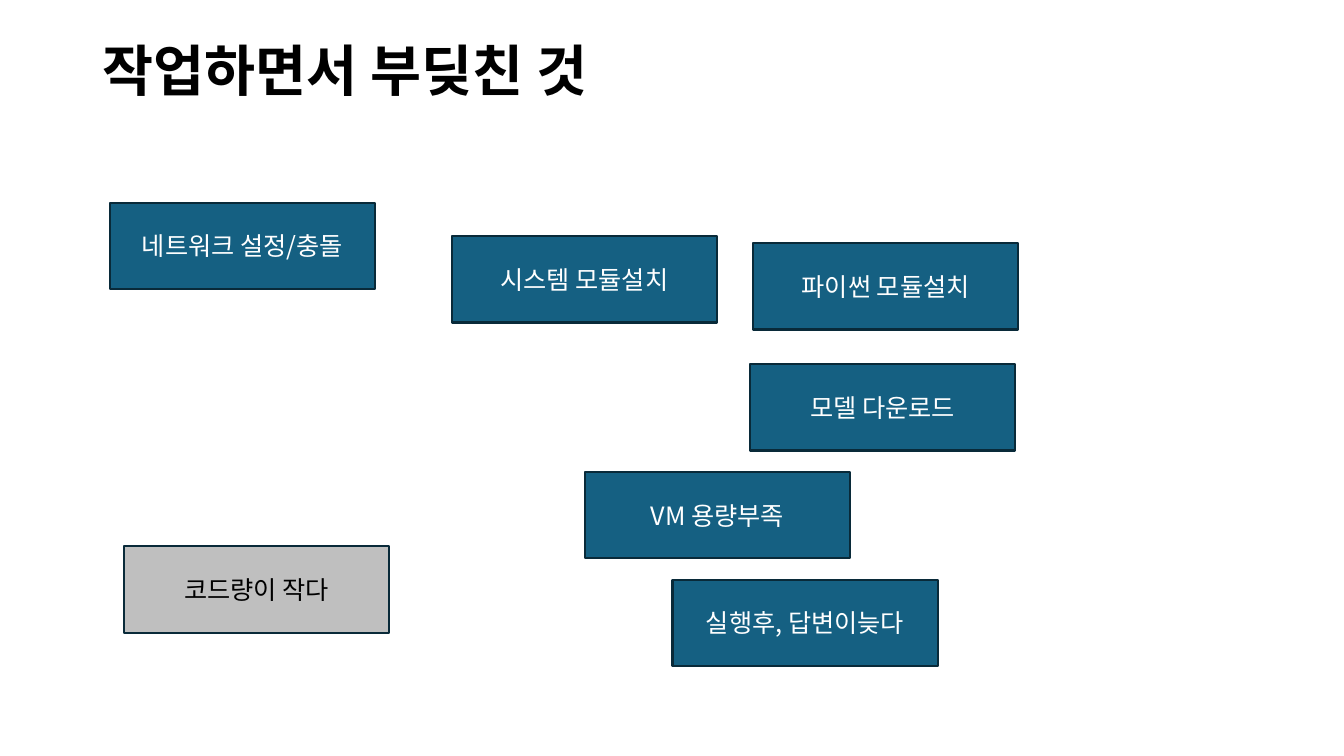
from pptx import Presentation
from pptx import util as u
from pptx.dml.color import RGBColor
from pptx.enum import shapes, text
from pptx.oxml.ns import qn
from lxml import etree

PX = 9144  # 100 px to the inch
FONT = "Noto Sans CJK KR"
COLORS = {"blue": "156082", "edge": "092A39", "gray": "BFBFBF",
          "white": "FFFFFF", "black": "000000"}
BOX_W, BOX_H = 263, 86
# left, top, label, fill, text colour
ISSUES = [
    (448, 234, "시스템 모듈설치", "blue", "white"),
    (747, 241, "파이썬 모듈설치", "blue", "white"),
    (744, 361, "모델 다운로드", "blue", "white"),
    (667, 575, "실행후, 답변이늦다", "blue", "white"),
    (109, 201, "네트워크 설정/충돌", "blue", "white"),
    (580, 468, "VM 용량부족", "blue", "white"),
    (123, 542, "코드량이 작다", "gray", "black"),
]


def px(n):
    return u.Emu(n * PX)


def rgb(name):
    return RGBColor.from_string(COLORS[name])


def write(sp, label, size, color, align, bold=False):
    tf = sp.text_frame
    tf.word_wrap = True
    tf.vertical_anchor = text.MSO_ANCHOR.MIDDLE
    p = tf.paragraphs[0]
    p.text = label
    p.alignment = align
    f = p.font
    f.name, f.size, f.bold = FONT, u.Pt(size), bold
    f.color.rgb = rgb(color)
    # Hangul takes the East Asian typeface
    latin = f._element.find(qn("a:latin"))
    ea = etree.Element(qn("a:ea"), typeface=FONT)
    latin.addnext(ea)
    return p


def add_title(s, left, top, width, height):
    sp = s.shapes.title
    sp.left, sp.top, sp.width, sp.height = map(px, (left, top, width, height))
    p = write(sp, "작업하면서 부딪친 것", 39.6, "black", text.PP_ALIGN.LEFT, True)
    p.line_spacing = 0.9
    sp.text_frame.auto_size = text.MSO_AUTO_SIZE.NONE


def add_issue(s, left, top, label, fill, color):
    sp = s.shapes.add_shape(shapes.MSO_SHAPE.RECTANGLE,
                            *map(px, (left, top, BOX_W, BOX_H)))
    sp.shadow.inherit = False
    sp.fill.solid()
    sp.fill.fore_color.rgb = rgb(fill)
    sp.line.color.rgb = rgb("edge")
    sp.line.width = u.Pt(1.5)
    write(sp, label, 18, color, text.PP_ALIGN.CENTER)


def main():
    prs = Presentation()
    prs.slide_width, prs.slide_height = px(1333), px(750)
    s = prs.slides.add_slide(prs.slide_layouts[5])
    add_title(s, 92, 40, 841, 66)
    for issue in ISSUES:
        add_issue(s, *issue)
    prs.save("out.pptx")


if __name__ == "__main__":
    main()
